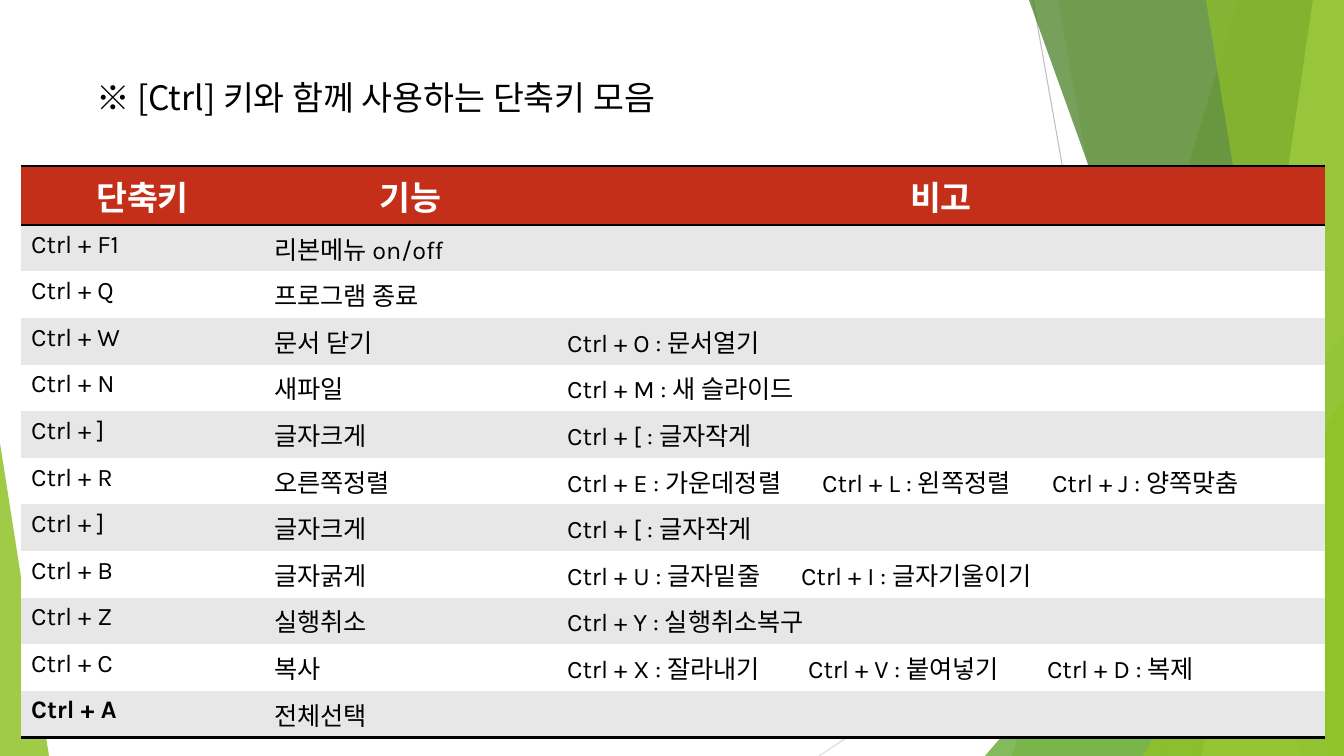
from lxml.etree import SubElement
from pptx import Presentation
from pptx.dml.color import RGBColor
from pptx.enum.shapes import MSO_CONNECTOR, MSO_SHAPE
from pptx.enum.text import MSO_ANCHOR, MSO_AUTO_SIZE, PP_ALIGN
from pptx.oxml.ns import qn
from pptx.util import Pt

WIDE, HIGH = 1344, 756
PLAIN = "{2D5ABB26-0587-4C30-8999-92F81FD0307C}"


def px(n):
    return round(n * 914400 / 100.8)


def tint(code):
    return RGBColor.from_string(code)


class Deck:
    font = "Karla"
    ink, head, band = "000000", "C42F1A", ("E7E7E7", "FFFFFF")

    def __init__(self):
        self.prs = Presentation()
        self.prs.slide_width, self.prs.slide_height = px(WIDE), px(HIGH)
        self.slide = self.prs.slides.add_slide(self.prs.slide_layouts[5])
        self.shapes = self.slide.shapes

    def run(self, para, text, size, color, bold=False, font=None):
        run = para.add_run()
        run.text = text
        run.font.size, run.font.bold = Pt(size), bold
        run.font.name = font or self.font
        run.font.color.rgb = tint(color)
        return run

    def title(self, text, x, y, w, h, font):
        box = self.shapes.title
        box.left, box.top, box.width, box.height = map(px, (x, y, w, h))
        frame = box.text_frame
        frame.word_wrap, frame.auto_size = True, MSO_AUTO_SIZE.NONE
        frame.vertical_anchor = MSO_ANCHOR.TOP
        para = frame.paragraphs[0]
        para.alignment = PP_ALIGN.LEFT
        run = self.run(para, text, 24, self.ink, font=font)
        SubElement(run.font._element, qn("a:ea"), typeface=font)

    def line(self, x1, y1, x2, y2, color):
        line = self.shapes.add_connector(
            MSO_CONNECTOR.STRAIGHT, px(x1), px(y1), px(x2), px(y2))
        line.line.color.rgb, line.line.width = tint(color), Pt(0.75)
        SubElement(line.element.spPr, qn("a:effectLst"))

    def paint(self, shape, color, alpha):
        shape.shadow.inherit = False
        shape.line.fill.background()
        shape.fill.solid()
        shape.fill.fore_color.rgb = tint(color)
        code = shape.element.spPr.find(".//" + qn("a:srgbClr"))
        SubElement(code, qn("a:alpha"), val=str(alpha * 1000))

    def wedge(self, top, foot, color, alpha):
        pen = self.shapes.build_freeform(px(top), 0)
        pen.add_line_segments([(px(x), px(y)) for x, y in
                               ((WIDE, 0), (WIDE, HIGH), (foot, HIGH))])
        self.paint(pen.convert_to_shape(), color, alpha)

    def peak(self, x, y, w, tip, color, alpha):
        shape = self.shapes.add_shape(
            MSO_SHAPE.ISOSCELES_TRIANGLE, px(x), px(y), px(w), px(HIGH - y))
        shape.adjustments[0] = tip
        self.paint(shape, color, alpha)

    def rule(self, cell, side):
        line = SubElement(cell._tc.get_or_add_tcPr(), qn("a:" + side), w=str(Pt(2)))
        fill = SubElement(line, qn("a:solidFill"))
        SubElement(fill, qn("a:srgbClr"), val=self.ink)

    def cell(self, cell, text, fill, sides, size, color, bold, stops=()):
        for side in sides:
            self.rule(cell, side)
        cell.fill.solid()
        cell.fill.fore_color.rgb = tint(fill)
        para = cell.text_frame.paragraphs[0]
        if stops:
            tabs = SubElement(para._p.get_or_add_pPr(), qn("a:tabLst"))
            for stop in stops:
                SubElement(tabs, qn("a:tab"), pos=str(px(stop)), algn="l")
        if text:
            self.run(para, text, size, color, bold)
        return para

    def table(self, x, y, cols, tall, row, heads, rows, stops):
        count = len(rows)
        frame = self.shapes.add_table(
            count + 1, len(cols), px(x), px(y), px(sum(cols)), px(tall + row * count))
        frame.element.find(".//" + qn("a:tableStyleId")).text = PLAIN
        grid = frame.table
        for col, wide in zip(grid.columns, cols):
            col.width = px(wide)
        for i, line in enumerate(grid.rows):
            line.height = px(row if i else tall)
        for j, text in enumerate(heads):
            cell = grid.cell(0, j)
            cell.vertical_anchor = MSO_ANCHOR.MIDDLE
            para = self.cell(cell, text, self.head, ("lnT", "lnB"), 24, "FFFFFF", True)
            para.alignment = PP_ALIGN.CENTER
        for i, texts in enumerate(rows):
            last = i == count - 1
            for j, text in enumerate(texts):
                self.cell(grid.cell(i + 1, j), text, self.band[i % 2],
                          ("lnB",) if last else (), 18, self.ink, last and j == 0,
                          stops.get(texts[0], ()) if j == 2 else ())


HEADS = ("단축키", "기능", "비고")
SIZE = ("Ctrl + ]", "글자크게", "Ctrl + [ : 글자작게")
ROWS = (
    ("Ctrl + F1", "리본메뉴 on/off", ""),
    ("Ctrl + Q", "프로그램 종료", ""),
    ("Ctrl + W", "문서 닫기", "Ctrl + O : 문서열기"),
    ("Ctrl + N", "새파일", "Ctrl + M : 새 슬라이드"),
    SIZE,
    ("Ctrl + R", "오른쪽정렬",
     "Ctrl + E : 가운데정렬\tCtrl + L : 왼쪽정렬\tCtrl + J : 양쪽맞춤"),
    SIZE,
    ("Ctrl + B", "글자굵게", "Ctrl + U : 글자밑줄\tCtrl + I : 글자기울이기"),
    ("Ctrl + Z", "실행취소", "Ctrl + Y : 실행취소복구"),
    ("Ctrl + C", "복사",
     "Ctrl + X : 잘라내기\tCtrl + V : 붙여넣기\tCtrl + D : 복제"),
    ("Ctrl + A", "전체선택", ""),
)
STOPS = {"Ctrl + R": (255, 485), "Ctrl + B": (234,), "Ctrl + C": (241, 480)}


def main():
    deck = Deck()

    # Green facets on both edges
    deck.line(1033, 0, 1167, HIGH, "BFBFBF")
    deck.line(WIDE, 406, 819, HIGH, "D9D9D9")
    deck.wedge(1238, 1012, "90C226", 30)
    deck.wedge(1058, 1192, "90C226", 20)
    deck.peak(985, 336, 359, 1, "54A021", 72)
    deck.wedge(1029, 1301, "3F7819", 70)
    deck.wedge(1313, 1202, "C0E474", 70)
    deck.wedge(1206, 1329, "90C226", 65)
    deck.peak(1143, 396, 201, 1, "90C226", 80)
    deck.peak(0, 443, 49, 0, "90C226", 85)

    # Heading
    deck.title("※ [Ctrl] 키와 함께 사용하는 단축키 모음",
               86, 72, 1019, 66, "Noto Sans CJK KR")

    # Shortcut table
    deck.table(21, 166, (243, 293, 768), 58, 46, HEADS, ROWS, STOPS)

    deck.prs.save("out.pptx")


if __name__ == "__main__":
    main()
